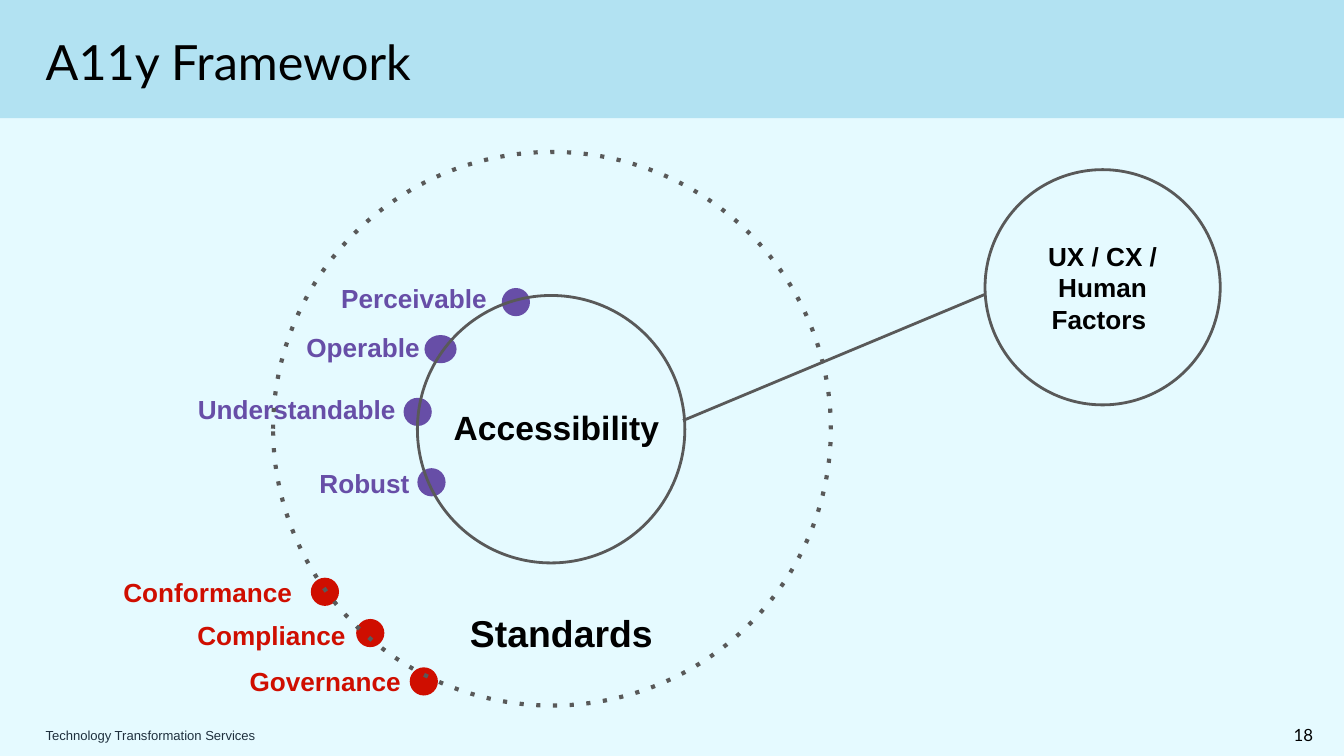
from pptx import Presentation
from pptx.dml.color import RGBColor
from pptx.enum.dml import MSO_LINE
from pptx.enum.shapes import MSO_CONNECTOR, MSO_SHAPE
from pptx.enum.text import MSO_ANCHOR, PP_ALIGN
from pptx.oxml.ns import qn
from pptx.util import Pt
from lxml import etree

RECTANGLE = MSO_SHAPE.RECTANGLE
OVAL = MSO_SHAPE.OVAL
STRAIGHT = MSO_CONNECTOR.STRAIGHT
DOTTED = MSO_LINE.ROUND_DOT
TOP = MSO_ANCHOR.TOP
MIDDLE = MSO_ANCHOR.MIDDLE
LEFT = PP_ALIGN.LEFT
CENTER = PP_ALIGN.CENTER
RIGHT = PP_ALIGN.RIGHT

PALE = "E5FAFF"
SKY = "B2E2F2"
GRAY = "595959"
BLACK = "000000"
NAVY = "1F303E"
PURPLE = "674EA7"
RED = "CF0E00"
INSET = 7.2
LABEL_HEIGHT = 19.5
DOT = 15.12


def color(value):
    return RGBColor.from_string(value)


class Sketch:
    def __init__(self, page):
        self.page = page
        self.font = "Arial"
        self.line_color = GRAY

    def shape(self, kind, left, top, width, height, fill=None):
        shape = self.page.shapes.add_shape(kind, Pt(left), Pt(top), Pt(width), Pt(height))
        shape.shadow.inherit = False
        shape.line.fill.background()
        if fill:
            shape.fill.solid()
            shape.fill.fore_color.rgb = color(fill)
        else:
            shape.fill.background()
        return shape

    def ring(self, left, top, width, height, weight=1.5, dotted=False):
        ring = self.shape(OVAL, left, top, width, height)
        ring.line.color.rgb = color(self.line_color)
        ring.line.width = Pt(weight)
        if dotted:
            ring.line.dash_style = DOTTED
            next(ring._element.iter(qn("a:prstDash"))).set("val", "dot")
        return ring

    def link(self, start_x, start_y, end_x, end_y):
        link = self.page.shapes.add_connector(
            STRAIGHT, Pt(start_x), Pt(start_y), Pt(end_x), Pt(end_y))
        link.line.color.rgb = color(self.line_color)
        link.line.width = Pt(1.5)
        etree.SubElement(link._element.spPr, qn("a:effectLst"))

    def fill_text(self, box, text, size, ink=BLACK, bold=True, font=None,
                  align=LEFT, anchor=TOP, insets=(INSET,) * 4):
        frame = box.text_frame
        frame.word_wrap = True
        frame.vertical_anchor = anchor
        (frame.margin_left, frame.margin_top,
         frame.margin_right, frame.margin_bottom) = map(Pt, insets)
        para = frame.paragraphs[0]
        para.text = text
        para.alignment = align
        para.font.name = font or self.font
        para.font.size = Pt(size)
        para.font.bold = bold
        para.font.color.rgb = color(ink)

    def text(self, left, top, width, height, text, size, **style):
        box = self.page.shapes.add_textbox(Pt(left), Pt(top), Pt(width), Pt(height))
        self.fill_text(box, text, size, **style)


def main():
    deck = Presentation()
    deck.slide_width = Pt(720)
    deck.slide_height = Pt(405)
    page = deck.slides.add_slide(deck.slide_layouts[6])
    page.background.fill.solid()
    page.background.fill.fore_color.rgb = color(PALE)
    sketch = Sketch(page)

    sketch.shape(RECTANGLE, 0, 0, 720, 63.3, SKY)
    sketch.shape(RECTANGLE, 0, 379.5, 720, 25.5, PALE)
    sketch.text(24.5, 382.3, 410.4, 23, "Technology Transformation Services", 7,
                ink=NAVY, bold=False, anchor=MIDDLE, insets=(0, 0, INSET, 0))
    sketch.text(24.5, 9.4, 628.6, 54, "A11y Framework", 26, bold=False,
                font="Lato", anchor=MIDDLE, insets=(0, 0, INSET, INSET))

    factors = sketch.ring(527.7, 90.9, 126, 126)
    sketch.fill_text(factors, "UX / CX / Human Factors ", 14, align=CENTER, anchor=MIDDLE)
    sketch.link(365.9, 225.3, 527.7, 157.7)

    principles = [
        ("Perceivable", 175.7, 144, 136.1, 268.8, 154.3, DOT),
        ("Operable", 157, 170.6, 76.5, 227.4, 179.5, 17.2),
        ("Understandable", 98.9, 203.5, 126, 216.2, 213.1, DOT),
        ("Robust", 164, 243.4, 126, 223.6, 250.8, DOT),
    ]
    standards = [
        ("Conformance", 59, 301.4, 113.8, 166.5, 309.5, DOT),
        ("Compliance", 98.6, 324.6, 101.5, 190.8, 331.6, DOT),
        ("Governance", 126.6, 349.4, 101.5, 219.5, 357.5, DOT),
    ]
    for items, ink in ((principles, PURPLE), (standards, RED)):
        for name, left, top, width, dot_left, dot_top, dot_width in items:
            sketch.shape(OVAL, dot_left, dot_top, dot_width, DOT, ink)
            sketch.text(left, top, width, LABEL_HEIGHT, name, 14, ink=ink)

    sketch.text(244.7, 319.7, 136.1, LABEL_HEIGHT, "Standards", 20)
    sketch.ring(146.3, 81.4, 298.8, 296.6, 2.25, dotted=True)
    sketch.text(236, 211, 125.3, 53.3, "Accessibility", 18)
    sketch.ring(223.6, 158.3, 143.3, 143.3)
    sketch.text(667.4, 384.5, 43.2, 18.7, "18", 9, bold=False, font="Lato",
                align=RIGHT, anchor=MIDDLE)

    deck.save("out.pptx")


if __name__ == "__main__":
    main()
